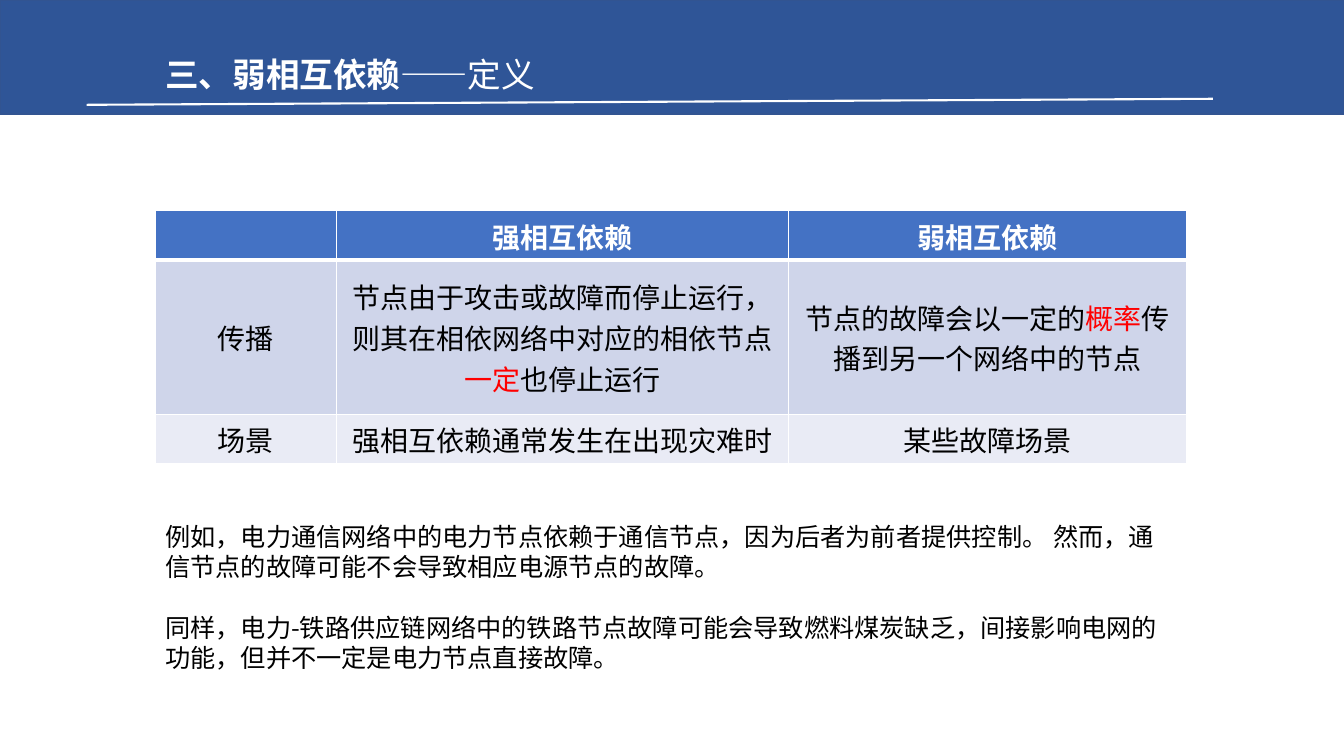
from lxml.etree import SubElement
from pptx import Presentation
from pptx.dml.color import RGBColor
from pptx.enum.shapes import MSO_CONNECTOR, MSO_SHAPE
from pptx.enum.text import MSO_ANCHOR, PP_ALIGN
from pptx.oxml.ns import qn
from pptx.util import Inches, Pt

FONT = "Noto Sans CJK SC"
WHITE, BLACK, RED = "FFFFFF", "000000", "FF0000"
FILLS = ["4472C4", "CFD5EA", "E9EBF5"]
COLS = [1.8, 4.48, 3.95]
ROWS = [0.49, 1.53, 0.49]

# Each cell is a list of text pieces; every second piece is stressed.
CELLS = [
    [[], ["强相互依赖"], ["弱相互依赖"]],
    [
        ["传播"],
        ["节点由于攻击或故障而停止运行，则其在相依网络中对应的相依节点", "一定", "也停止运行"],
        ["节点的故障会以一定的", "概率", "传播到另一个网络中的节点"],
    ],
    [["场景"], ["强相互依赖通常发生在出现灾难时"], ["某些故障场景"]],
]
NOTES = [
    "例如，电力通信网络中的电力节点依赖于通信节点，因为后者为前者提供控制。 然而，通信节点的故障可能不会导致相应电源节点的故障。",
    "同样，电力-铁路供应链网络中的铁路节点故障可能会导致燃料煤炭缺乏，间接影响电网的功能，但并不一定是电力节点直接故障。",
]


def rgb(code):
    return RGBColor.from_string(code)


def paint(fill, code):
    fill.solid()
    fill.fore_color.rgb = rgb(code)


def add_run(para, text, size, color, bold=False):
    run = para.add_run()
    run.text = text
    style = {"name": FONT, "size": Pt(size), "bold": bold}
    for key, value in style.items():
        setattr(run.font, key, value)
    run.font.color.rgb = rgb(color)
    SubElement(run.font._element, qn("a:ea"), typeface=FONT)


def add_band(slide):
    band = slide.shapes.add_shape(
        MSO_SHAPE.RECTANGLE, 0, 0, Inches(13.33), Inches(1.13))
    band.shadow.inherit = False
    paint(band.fill, "2F5597")
    band.line.color.rgb = rgb("325491")
    band.line.width = Pt(1)


def add_rule(slide, start, end):
    x1, y1, x2, y2 = map(Inches, start + end)
    rule = slide.shapes.add_connector(MSO_CONNECTOR.STRAIGHT, x1, y1, x2, y2)
    rule.line.color.rgb = rgb(WHITE)
    rule.line.width = Pt(1.5)
    SubElement(rule._element.spPr, qn("a:effectLst"))


def add_text(slide, box, paras, size):
    """Add paragraphs of (text, color, bold) runs, a full line apart."""
    frame = slide.shapes.add_textbox(*map(Inches, box)).text_frame
    frame.word_wrap = True
    pitch = Pt(size * 1.205)
    for i, runs in enumerate(paras):
        para = frame.add_paragraph() if i else frame.paragraphs[0]
        para.line_spacing = pitch
        if i:
            para.space_before = pitch
        for text, color, bold in runs:
            add_run(para, text, size, color, bold)


def add_edges(cell, head):
    """Draw white cell borders, with a thick one under the header row."""
    props = cell._tc.get_or_add_tcPr()
    for i, side in enumerate(["lnL", "lnR", "lnT", "lnB"]):
        thick = head and side == "lnB" or not head and side == "lnT" and head is not None
        edge = SubElement(props, qn("a:" + side), w=str(Pt(3 if thick else 1)))
        solid = SubElement(edge, qn("a:solidFill"))
        SubElement(solid, qn("a:srgbClr"), val=WHITE)
        props.insert(i, edge)


def fill_cell(cell, parts, row):
    head = row == 0
    paint(cell.fill, FILLS[row])
    add_edges(cell, head if row < 2 else None)
    cell.vertical_anchor = MSO_ANCHOR.MIDDLE
    para = cell.text_frame.paragraphs[0]
    para.alignment = PP_ALIGN.CENTER
    base = WHITE if head else BLACK
    for i, text in enumerate(parts):
        add_run(para, text, 20, RED if i % 2 else base, head)


def add_grid(slide):
    box = map(Inches, (1.54, 2.09, sum(COLS), sum(ROWS)))
    table = slide.shapes.add_table(len(ROWS), len(COLS), *box).table
    for col, width in zip(table.columns, COLS):
        col.width = Inches(width)
    for r, (row, height) in enumerate(zip(table.rows, ROWS)):
        row.height = Inches(height)
        for cell, parts in zip(row.cells, CELLS[r]):
            fill_cell(cell, parts, r)


def main():
    deck = Presentation()
    deck.slide_width, deck.slide_height = Inches(13.33), Inches(7.5)
    slide = deck.slides.add_slide(deck.slide_layouts[6])
    add_band(slide)
    title = [("三、弱相互依赖", WHITE, True), ("——定义", WHITE, False)]
    add_text(slide, (1.54, 0.48, 8.38, 0.5), [title], 24)
    add_rule(slide, (0.86, 1.04), (12.03, 0.98))
    add_grid(slide)
    notes = [[(text, BLACK, False)] for text in NOTES]
    add_text(slide, (1.54, 5.12, 10.22, 1.61), notes, 18)
    deck.save("out.pptx")


if __name__ == "__main__":
    main()
